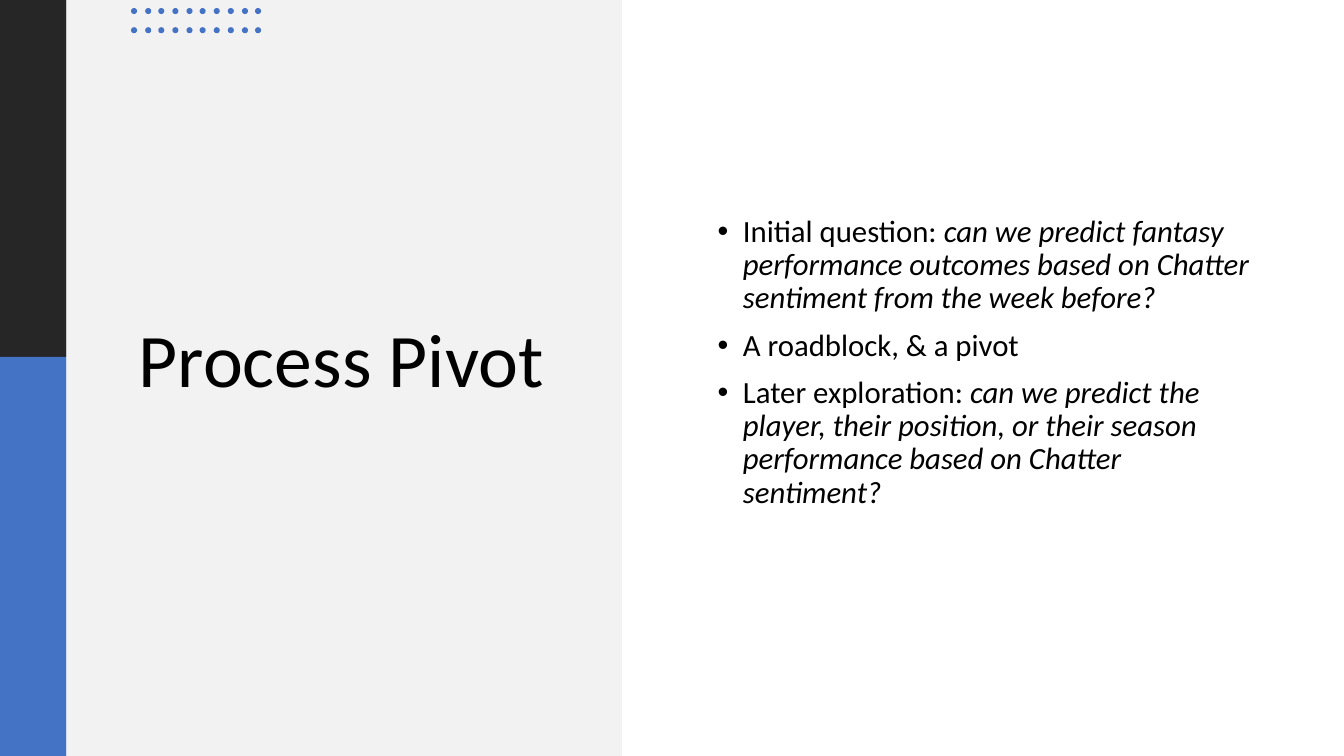
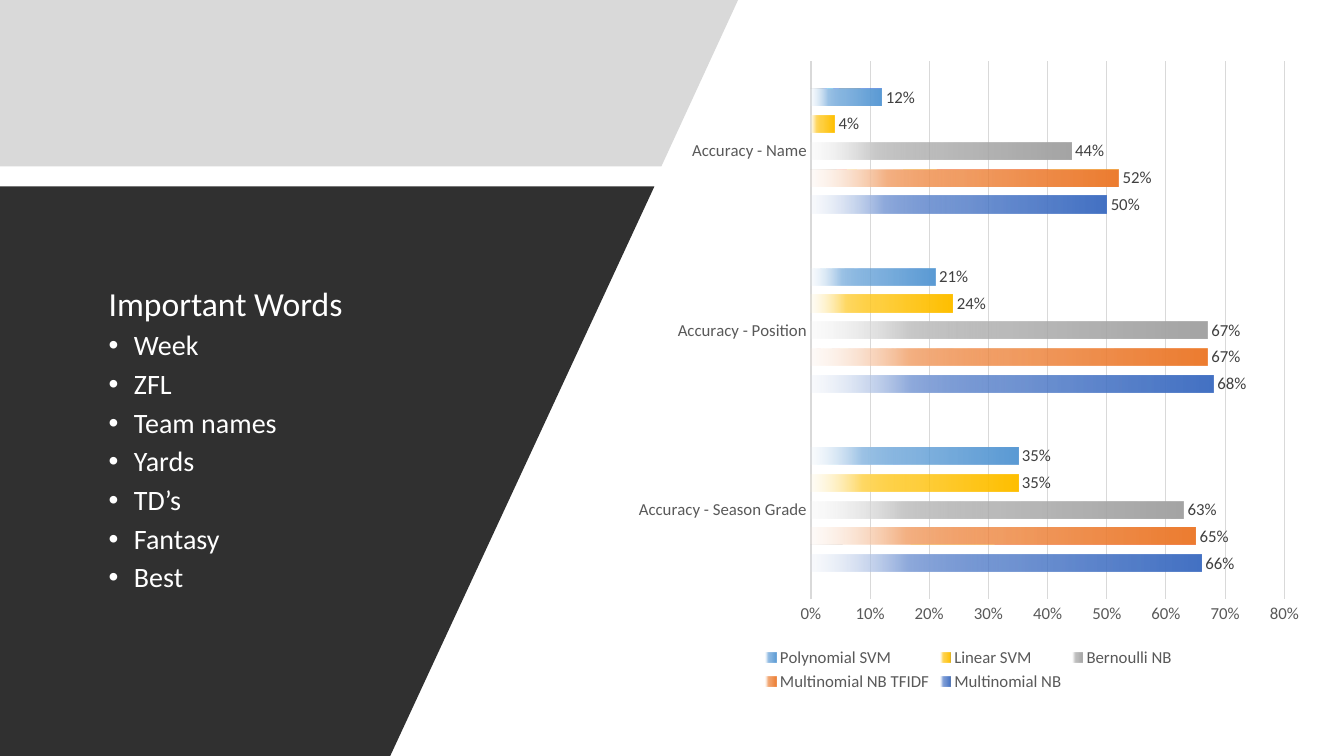
import pptx
import pptx.chart.data
import pptx.dml.color
import pptx.enum.chart
import pptx.enum.shapes
import pptx.enum.text
import pptx.oxml
import pptx.oxml.ns
import pptx.util

RGB = pptx.dml.color.RGBColor
BLACK = RGB(0x00, 0x00, 0x00)
WHITE = RGB(0xFF, 0xFF, 0xFF)
CHARCOAL = RGB(0x26, 0x26, 0x26)
SLATE = RGB(0x30, 0x30, 0x30)
BLUE = RGB(0x44, 0x72, 0xC4)
PANEL_GRAY = RGB(0xF2, 0xF2, 0xF2)
BAND_GRAY = RGB(0xD9, 0xD9, 0xD9)
AXIS_TEXT = RGB(0x59, 0x59, 0x59)
LABEL_TEXT = RGB(0x40, 0x40, 0x40)

FONT = "Calibri"
EMU_PER_PX = 9144  # 100 px to the inch
SLIDE_WIDTH, SLIDE_HEIGHT = 1333, 750
BULLET_INDENT = 25
RECTANGLE = pptx.enum.shapes.MSO_SHAPE.RECTANGLE
OVAL = pptx.enum.shapes.MSO_SHAPE.OVAL

CATEGORIES = ["Accuracy - Season Grade", "Accuracy - Position", "Accuracy - Name"]
# Model, values, then the full, soft and pale shades of its bars
MODELS = [
    ("Multinomial NB", (0.66, 0.68, 0.50), ("4472C4", "8FAADC", "DAE3F3")),
    ("Multinomial NB TFIDF", (0.65, 0.67, 0.52), ("ED7D31", "F4B183", "FBE5D6")),
    ("Bernoulli NB", (0.63, 0.67, 0.44), ("A5A5A5", "C9C9C9", "EDEDED")),
    ("Linear SVM", (0.35, 0.24, 0.04), ("FFC000", "FFD966", "FFF2CC")),
    ("Polynomial SVM", (0.35, 0.21, 0.12), ("5B9BD5", "9DC3E6", "DEEBF7")),
]


def px(length):
    return pptx.util.Emu(length * EMU_PER_PX)


def set_values(target, values):
    for name, value in values.items():
        setattr(target, name, value)


def style_font(font, size, color, italic=None):
    set_values(font, {"name": FONT, "size": pptx.util.Pt(size), "italic": italic})
    font.color.rgb = color


def paint(shape, color):
    shape.shadow.inherit = False
    shape.fill.solid()
    shape.fill.fore_color.rgb = color
    shape.line.fill.background()


def add_block(shapes, kind, box, color):
    paint(shapes.add_shape(kind, *map(px, box)), color)


def add_polygon(slide, points, color):
    builder = slide.shapes.build_freeform(*points[0], scale=EMU_PER_PX)
    builder.add_line_segments(points[1:], close=True)
    paint(builder.convert_to_shape(), color)


def indent(paragraph, left, bulleted):
    properties = paragraph._p.get_or_add_pPr()
    properties.set("marL", str(px(left + BULLET_INDENT * bulleted)))
    properties.set("indent", str(px(-BULLET_INDENT * bulleted)))
    if bulleted:
        namespace = pptx.oxml.ns.nsdecls("a")
        for xml in (f'<a:buFont {namespace} typeface="Arial"/>',
                    f'<a:buChar {namespace} char="•"/>'):
            properties.append(pptx.oxml.parse_xml(xml))


def add_text(slide, box, paragraphs, color, left=0, before=0, after=0):
    """Each paragraph is (size, bulleted, upright text, italic text)."""
    frame = slide.shapes.add_textbox(*map(px, box)).text_frame
    set_values(frame, {"word_wrap": True,
                       "vertical_anchor": pptx.enum.text.MSO_ANCHOR.MIDDLE})
    for index, (size, bulleted, *texts) in enumerate(paragraphs):
        paragraph = frame.add_paragraph() if index else frame.paragraphs[0]
        set_values(paragraph, {"line_spacing": 0.9,
                               "space_before": pptx.util.Pt(before),
                               "space_after": pptx.util.Pt(after)})
        indent(paragraph, left, bulleted)
        for text, italic in zip(texts, (False, True)):
            run = paragraph.add_run()
            run.text = text
            style_font(run.font, size, color, italic)


def add_dot_grid(slide):
    dots = slide.shapes.add_group_shape().shapes
    for column in range(10):
        for row in range(2):
            box = (round(130 + 13.7 * column), 8 + 19 * row, 6, 6)
            add_block(dots, OVAL, box, BLUE)


def fade_bars(series, full, soft, pale):
    """Fade the bars from the full shade at their tip to a pale base."""
    fill = series.format.fill
    fill.gradient()
    fill.gradient_angle = 180
    stops = series._element.find(".//" + pptx.oxml.ns.qn("a:gsLst"))
    stops.clear()
    for position, shade, opacity in ((0, full, 100), (51, full, 75),
                                     (75, soft, 100), (100, pale, 15)):
        stops.append(pptx.oxml.parse_xml(
            f'<a:gs {pptx.oxml.ns.nsdecls("a")} pos="{position * 1000}">'
            f'<a:srgbClr val="{shade}"><a:alpha val="{opacity * 1000}"/>'
            '</a:srgbClr></a:gs>'))


def style_axes(chart):
    for axis in (chart.category_axis, chart.value_axis):
        set_values(axis, {"major_tick_mark": pptx.enum.chart.XL_TICK_MARK.NONE,
                          "minor_tick_mark": pptx.enum.chart.XL_TICK_MARK.NONE})
        style_font(axis.tick_labels.font, 12, AXIS_TEXT)
    set_values(chart.value_axis, {"minimum_scale": 0, "maximum_scale": 0.8,
                                  "major_unit": 0.1, "has_major_gridlines": True})
    set_values(chart.value_axis.tick_labels, {"number_format": "0%",
                                              "number_format_is_linked": False})
    chart.value_axis.format.line.fill.background()
    for line, width in ((chart.category_axis.format.line, 1.5),
                        (chart.value_axis.major_gridlines.format.line, 0.75)):
        line.color.rgb = BAND_GRAY
        line.width = pptx.util.Pt(width)


def add_accuracy_chart(slide, box):
    accuracy = pptx.chart.data.CategoryChartData(number_format="0%")
    accuracy.categories = CATEGORIES
    for model, values, _ in MODELS:
        accuracy.add_series(model, values)
    chart = slide.shapes.add_chart(pptx.enum.chart.XL_CHART_TYPE.BAR_CLUSTERED,
                                   *map(px, box), accuracy).chart
    set_values(chart, {"has_title": False, "has_legend": True})
    style_font(chart.font, 10, BLACK)
    style_axes(chart)
    set_values(chart.legend, {
        "position": pptx.enum.chart.XL_LEGEND_POSITION.BOTTOM,
        "include_in_layout": False})
    style_font(chart.legend.font, 12, AXIS_TEXT)
    plot = chart.plots[0]
    set_values(plot, {"gap_width": 326, "overlap": -58, "vary_by_categories": False})
    for series, (_, _, shades) in zip(plot.series, MODELS):
        fade_bars(series, *shades)
        set_values(series.data_labels, {
            "show_value": True, "number_format": "0%",
            "number_format_is_linked": False,
            "position": pptx.enum.chart.XL_LABEL_POSITION.OUTSIDE_END})
        style_font(series.data_labels.font, 12, LABEL_TEXT)


def build_pivot_slide(slide):
    for box, color in (((0, 0, 66, 354), CHARCOAL),
                       ((0, 354, 66, 396), BLUE),
                       ((66, 0, 551, SLIDE_HEIGHT), PANEL_GRAY)):
        add_block(slide.shapes, RECTANGLE, box, color)
    add_text(slide, (128, 146, 429, 429), [(54, False, "Process Pivot")], BLACK)
    add_dot_grid(slide)
    add_text(slide, (702, 55, 558, 610), [
        (22, True, "Initial question: ",
         "can we predict fantasy performance outcomes based on Chatter "
         "sentiment from the week before?"),
        (22, True, "A roadblock, & a pivot"),
        (22, True, "Later exploration: ",
         "can we predict the player, their position, or their season "
         "performance based on Chatter sentiment?"),
    ], BLACK, before=10)


def build_accuracy_slide(slide):
    add_polygon(slide, [(0, 0), (732, 0), (656, 165), (0, 165)], BAND_GRAY)
    add_polygon(slide, [(0, 185), (649, 185), (387, SLIDE_HEIGHT),
                        (0, SLIDE_HEIGHT)], SLATE)
    words = ["Week", "ZFL", "Team names", "Yards", "TD’s", "Fantasy", "Best"]
    add_text(slide, (92, 238, 365, 398),
             [(24, False, "Important Words")] + [(20, True, word) for word in words],
             WHITE, left=6, after=6)
    add_accuracy_chart(slide, (620, 48, 682, 642))


def main():
    deck = pptx.Presentation()
    set_values(deck, {"slide_width": px(SLIDE_WIDTH), "slide_height": px(SLIDE_HEIGHT)})
    blank = deck.slide_layouts[6]
    for build in (build_pivot_slide, build_accuracy_slide):
        build(deck.slides.add_slide(blank))
    deck.save("out.pptx")


if __name__ == "__main__":
    main()
